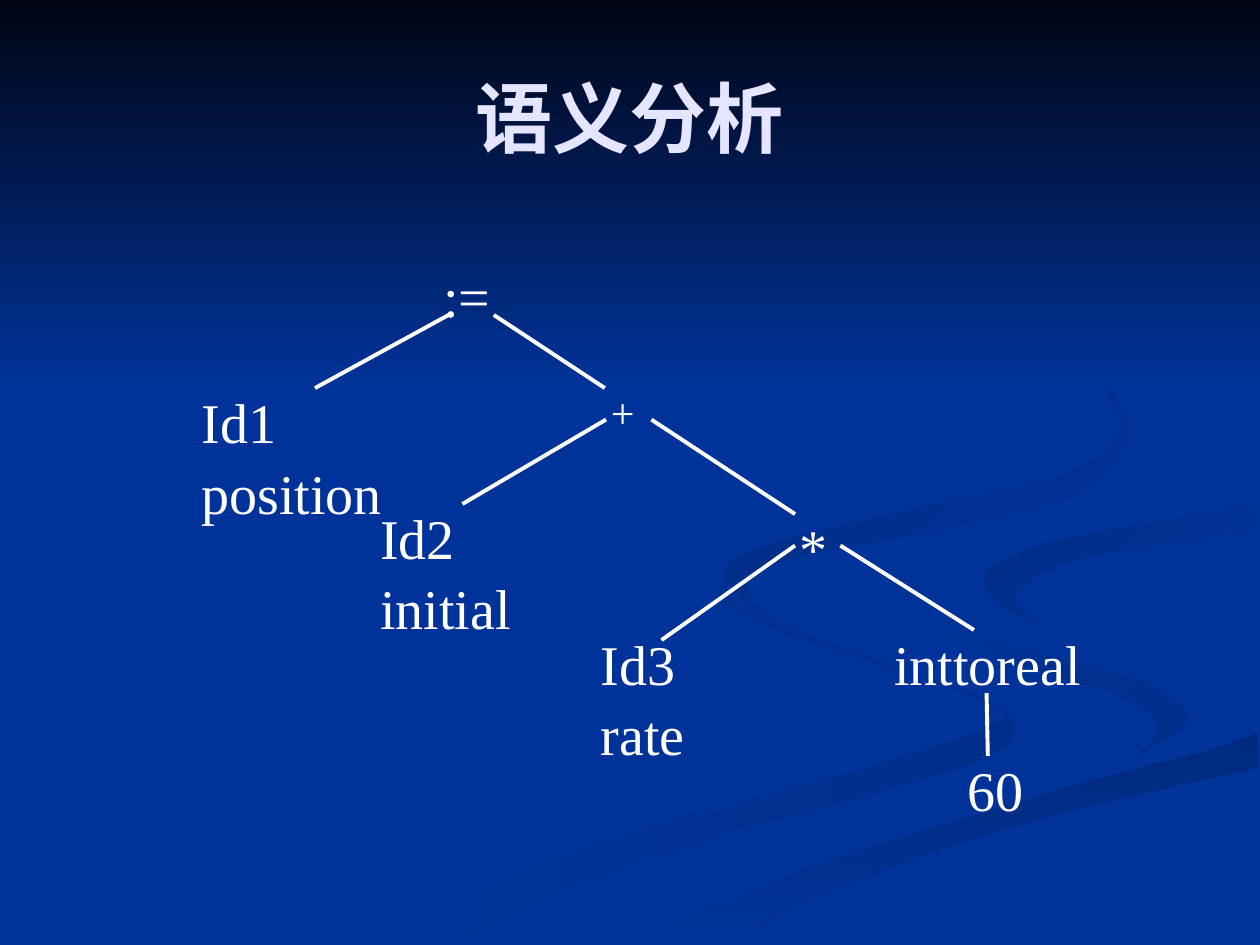
"""Build the semantic analysis slide: a syntax tree over a dark blue wavy backdrop."""
from dataclasses import dataclass

from lxml import etree
from pptx import Presentation
from pptx.dml.color import RGBColor
from pptx.enum.shapes import MSO_CONNECTOR
from pptx.enum.text import MSO_ANCHOR, MSO_AUTO_SIZE, PP_ALIGN
from pptx.oxml.ns import qn
from pptx.util import Pt

STRAIGHT = MSO_CONNECTOR.STRAIGHT
MIDDLE = MSO_ANCHOR.MIDDLE
FIT_SHAPE = MSO_AUTO_SIZE.SHAPE_TO_FIT_TEXT
CENTER = PP_ALIGN.CENTER

EMU_PER_PX = 9144
SLIDE_WIDTH, SLIDE_HEIGHT = 1000, 750
CURVE_STEPS = 5
FONT = "Times New Roman"
BLUE, WHITE, LAVENDER = "003399", "FFFFFF", "E5E5FF"
Point = tuple[int, int]


@dataclass(frozen=True)
class Ribbon:
    there: list[Point]
    back: list[Point]
    start_color: str
    end_color: str
    angle: int = 0


@dataclass(frozen=True)
class Node:
    text: str
    left: int
    top: int
    width: int
    height: int = 64
    size: int = 32


@dataclass(frozen=True)
class Branch:
    start: Point
    end: Point


BACKDROP = [
    Ribbon(
        [(575, 459), (574, 480), (631, 505), (781, 556), (780, 579), (652, 620), (458, 674),
         (300, 749)],
        [(361, 749), (499, 687), (676, 634), (791, 597), (792, 561), (682, 519), (594, 485),
         (575, 459)],
        BLUE, "002E8B"),
    Ribbon(
        [(724, 464), (733, 483), (792, 509), (905, 540), (943, 570), (894, 605)],
        [(894, 605), (918, 581), (892, 553), (797, 524), (739, 494), (724, 464)],
        BLUE, "002E8B", 45),
    Ribbon(
        [(503, 749), (630, 693), (764, 647), (903, 610), (998, 581)],
        [(998, 609), (821, 651), (670, 702), (571, 749)],
        "002A7D", BLUE, 90),
    Ribbon(
        [(477, 749), (619, 684), (780, 634), (926, 593), (943, 570), (905, 540), (775, 503),
         (725, 464), (755, 432), (874, 408), (999, 387)],
        [(999, 402), (865, 424), (781, 463), (848, 503), (999, 538), (999, 581), (832, 629),
         (630, 693), (503, 749)],
        BLUE, BLUE),
    Ribbon(
        [(781, 460), (791, 447), (849, 427), (998, 402)],
        [(998, 420), (859, 443), (805, 472), (826, 496), (790, 477), (781, 460)],
        "002D86", BLUE, 45),
    Ribbon(
        [(762, 233), (846, 279), (889, 335), (842, 378), (704, 409), (597, 437), (577, 462),
         (622, 500)],
        [(622, 500), (593, 470), (624, 444), (739, 421), (855, 391), (894, 344), (864, 291),
         (762, 233)],
        "002B82", BLUE, 45),
    Ribbon([(0, 0), (0, 308)], [(SLIDE_WIDTH, 308), (SLIDE_WIDTH, 0)], "000514", BLUE, 90),
]

NODES = [
    Node(":=", 342, 200, 71),
    Node("+", 475, 300, 71, 50, 24),
    Node("*", 625, 400, 71),
    Node("Id1 position", 150, 300, 176, 117),
    Node("Id2 initial", 292, 392, 132, 117),
    Node("Id3 rate", 467, 492, 97, 117),
    Node("inttoreal", 700, 492, 175),
    Node("60", 758, 592, 67),
]

BRANCHES = [
    Branch((250, 308), (356, 250)),
    Branch((392, 250), (480, 308)),
    Branch((481, 333), (367, 400)),
    Branch((517, 333), (631, 408)),
    Branch((631, 433), (525, 508)),
    Branch((667, 433), (773, 500)),
    Branch((783, 550), (784, 600)),
]


def px(length: int) -> int:
    """Turn px into EMU."""
    return length * EMU_PER_PX


def color(value: str) -> RGBColor:
    """Turn a hex string into a colour."""
    return RGBColor.from_string(value)


def format_text(paragraph, size: int, font_color: str, bold: bool = False) -> None:
    """Format every run of a paragraph."""
    for run in paragraph.runs:
        run.font.name = FONT
        run.font.size = Pt(size)
        run.font.bold = bold
        run.font.color.rgb = color(font_color)


def spline(before: int, start: int, end: int, after: int, t: float) -> float:
    """Interpolate between start and end on a Catmull-Rom curve."""
    slope = end - before
    bend = 2 * before - 5 * start + 4 * end - after
    twist = 3 * (start - end) + after - before
    return start + (slope * t + bend * t ** 2 + twist * t ** 3) / 2


def smooth(points: list[Point]) -> list[Point]:
    """Return a smooth open curve through the points, kept on the slide."""
    padded = [points[0], *points, points[-1]]
    curve = []
    for quad in zip(padded, padded[1:], padded[2:], padded[3:]):
        for step in range(CURVE_STEPS):
            x, y = (round(spline(*values, step / CURVE_STEPS)) for values in zip(*quad))
            curve.append((min(x, SLIDE_WIDTH), min(y, SLIDE_HEIGHT)))
    return [*curve, points[-1]]


def draw_ribbon(slide, ribbon: Ribbon) -> None:
    """Draw a borderless shape between two curves with a solid or gradient fill."""
    first, *others = smooth(ribbon.there) + smooth(ribbon.back)
    builder = slide.shapes.build_freeform(*first, scale=EMU_PER_PX)
    builder.add_line_segments(others, close=True)
    shape = builder.convert_to_shape()
    shape.shadow.inherit = False
    shape.line.fill.background()
    if ribbon.start_color == ribbon.end_color:
        shape.fill.solid()
        shape.fill.fore_color.rgb = color(ribbon.start_color)
        return
    shape.fill.gradient()
    shape.fill.gradient_angle = (360 - ribbon.angle) % 360
    for stop, value in zip(shape.fill.gradient_stops, (ribbon.start_color, ribbon.end_color)):
        stop.color.rgb = color(value)


def draw_title(slide, text: str) -> None:
    """Place the title placeholder in front of the backdrop."""
    title = slide.shapes.title
    title.element.getparent().append(title.element)
    title.left, title.top, title.width, title.height = map(px, (50, 30, 900, 125))
    title.text_frame.text = text
    title.text_frame.vertical_anchor = MIDDLE
    paragraph = title.text_frame.paragraphs[0]
    paragraph.alignment = CENTER
    format_text(paragraph, 44, LAVENDER, bold=True)


def draw_node(slide, node: Node) -> None:
    """Draw the label of a tree node."""
    box = slide.shapes.add_textbox(*map(px, (node.left, node.top, node.width, node.height)))
    text_frame = box.text_frame
    text_frame.word_wrap = True
    text_frame.auto_size = FIT_SHAPE
    text_frame.text = node.text
    paragraph = text_frame.paragraphs[0]
    paragraph.line_spacing = 1.05
    format_text(paragraph, node.size, WHITE)


def draw_branch(slide, branch: Branch) -> None:
    """Draw a line between two tree nodes."""
    connector = slide.shapes.add_connector(STRAIGHT, *map(px, branch.start + branch.end))
    connector.line.color.rgb = color(WHITE)
    connector.line.width = Pt(2.25)
    etree.SubElement(connector.element.spPr, qn("a:effectLst"))


def main() -> None:
    """Build and save the presentation."""
    presentation = Presentation()
    presentation.slide_width, presentation.slide_height = px(SLIDE_WIDTH), px(SLIDE_HEIGHT)
    slide = presentation.slides.add_slide(presentation.slide_layouts[5])
    slide.background.fill.solid()
    slide.background.fill.fore_color.rgb = color(BLUE)
    for ribbon in BACKDROP:
        draw_ribbon(slide, ribbon)
    draw_title(slide, "语义分析")
    for node in NODES:
        draw_node(slide, node)
    for branch in BRANCHES:
        draw_branch(slide, branch)
    presentation.save("out.pptx")


if __name__ == "__main__":
    main()
